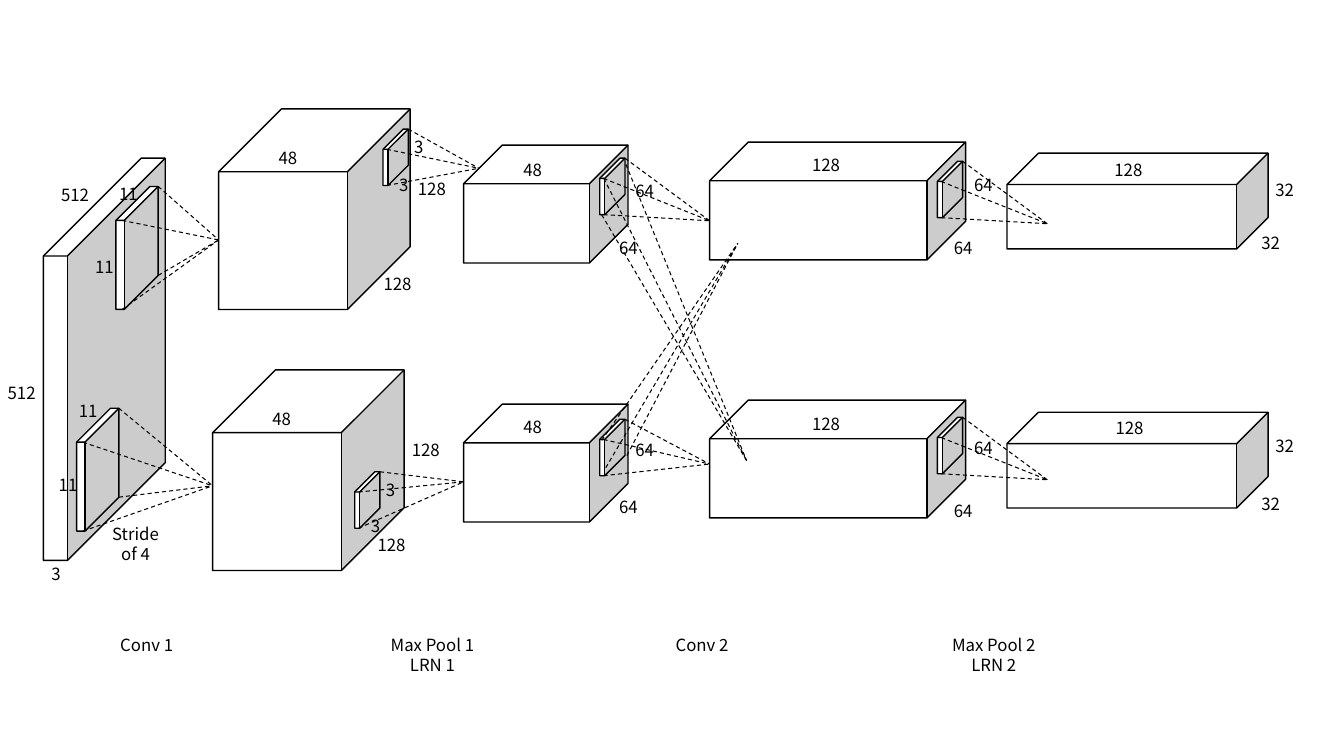
from pptx import Presentation
from pptx.dml.color import RGBColor as RGB
from pptx.enum.dml import MSO_LINE as Dash
from pptx.enum.shapes import MSO_CONNECTOR as Link, MSO_SHAPE as Shape
from pptx.enum.text import MSO_AUTO_SIZE as Fit, PP_ALIGN as Align
from pptx.oxml.ns import qn
from pptx.util import Pt
from lxml import etree

FONT = "Noto Sans CJK KR"
BLACK, WHITE = "000000", "FFFFFF"
THIN, DEEP = 0.803, 0.328  # cube depth: flat plates, solid blocks

# Feature maps: size, then the corner of the upper and lower one
BLOCKS = [
    ((136.8, 143.3), (156.2, 77.8), (151.9, 264.2)),
    ((117.4, 84.2), (331.2, 103.7), (331.2, 288.7)),
    ((182.9, 84.2), (506.9, 101.5), (506.9, 285.8)),
    ((186.5, 68.4), (719.3, 109.4), (719.3, 294.5)),
]

# Kernels: corner, and the point their rays meet
LARGE, SMALL = (30.2, 87.8), (18, 40.3)
FILTERS = [
    (LARGE, (82.8, 133.2), (156.2, 171.4)),
    (LARGE, (54.7, 291.6), (151.9, 347)),
    (SMALL, (273.6, 92.2), (342, 120.2)),
    (SMALL, (253.4, 337), (331.2, 344.2)),
    (SMALL, (428.4, 113), (506.9, 157.7)),
    (SMALL, (428.4, 299.5), (506.9, 331.5)),
    (SMALL, (669.6, 115.2), (748.1, 159.8)),
    (SMALL, (669.6, 298.1), (748.1, 342.7)),
]

# Rays that cross between the two rows
CROSS = [
    ([(429.8, 314.6), (447.8, 325.4), (432.7, 334.1)], (527, 173.8)),
    ([(429.8, 153.4), (447.1, 117.4), (431.3, 127.4)], (533.3, 329)),
]

# Sizes: text, then the centre and top of each place
SIZES = {
    "512": [(53.6, 128.2), (15.5, 270)],
    "11": [(48.6, 335.5), (63, 283), (74.5, 180), (91.8, 127.4)],
    "3": [(40, 398.9), (299.2, 94.3), (288.4, 121), (279, 339.1),
          (268.2, 365)],
    "48": [(205.6, 102.2), (201.2, 288.7), (380.5, 110.2), (380.5, 294.5)],
    "128": [(308.5, 123.8), (284, 192.2), (304.2, 310.3), (279.7, 378.7),
            (590, 107.3), (590, 292.3), (806, 110.2), (806.8, 295.2)],
    "64": [(448.9, 166.3), (460.4, 125.3), (448.9, 351.4), (460.4, 310.3),
           (702.4, 121), (688, 166.3), (702.4, 308.9), (688, 354.2)],
    "32": [(907.6, 162.7), (917.6, 124.6), (917.6, 307.4), (907.6, 349.2)],
    "Stride of 4": [(96.8, 370.8)],
}

STAGES = [("Conv 1", 104.8), ("Max Pool 1\nLRN 1", 308.9),
          ("Conv 2", 501.5), ("Max Pool 2\nLRN 2", 709.9)]


def color(code):
    return RGB.from_string(code)


def add_cube(slide, spot, size, depth):
    cube = slide.shapes.add_shape(Shape.CUBE, *map(Pt, spot + size))
    cube.adjustments[0] = depth
    cube.shadow.inherit = False
    cube.fill.solid()
    cube.fill.fore_color.rgb = color(WHITE)
    cube.line.color.rgb = color(BLACK)
    cube.line.width = Pt(1)


def add_rays(slide, starts, end):
    for start in starts:
        ray = slide.shapes.add_connector(Link.STRAIGHT, *map(Pt, start + end))
        ray.line.color.rgb = color(BLACK)
        ray.line.width = Pt(0.75)
        ray.line.dash_style = Dash.DASH
        etree.SubElement(ray._element.spPr, qn("a:effectLst"))


def add_label(slide, text, mid, top, wide=60):
    high = 36 if wide > 60 or " of " in text else 21.6
    box = slide.shapes.add_textbox(Pt(mid - wide / 2), Pt(top),
                                   Pt(wide), Pt(high))
    frame = box.text_frame
    frame.word_wrap = True
    frame.auto_size = Fit.SHAPE_TO_FIT_TEXT
    frame.text = text
    for para in frame.paragraphs:
        para.alignment = Align.CENTER
        para.font.name = FONT
        para.font.size = Pt(12)
        para.font.color.rgb = color(BLACK)


def corners(spot, size):
    """Points on a kernel where its rays start."""
    (x, y), (wide, high) = spot, size
    near, far, drop = x + 0.15 * wide, x + wide, THIN * wide
    points = [(far, y), (near, y + drop), (near, y + high)]
    if size == LARGE:
        points.append((far, y + high - drop))
    return points


def main():
    deck = Presentation()
    deck.slide_width, deck.slide_height = Pt(960), Pt(540)
    slide = deck.slides.add_slide(deck.slide_layouts[6])

    # Input and feature maps
    add_cube(slide, (31, 113), (87, 287.3), THIN)
    for size, *spots in BLOCKS:
        for spot in spots:
            add_cube(slide, spot, size, DEEP)

    # Kernels and rays
    for size, spot, end in FILTERS:
        add_cube(slide, spot, size, THIN)
        add_rays(slide, corners(spot, size), end)
    for starts, end in CROSS:
        add_rays(slide, starts, end)

    # Sizes and stage names
    for text, places in SIZES.items():
        for mid, top in places:
            add_label(slide, text, mid, top)
    for text, mid in STAGES:
        add_label(slide, text, mid, 450, 76 if "\n" in text else 60)

    deck.save("out.pptx")


main()
